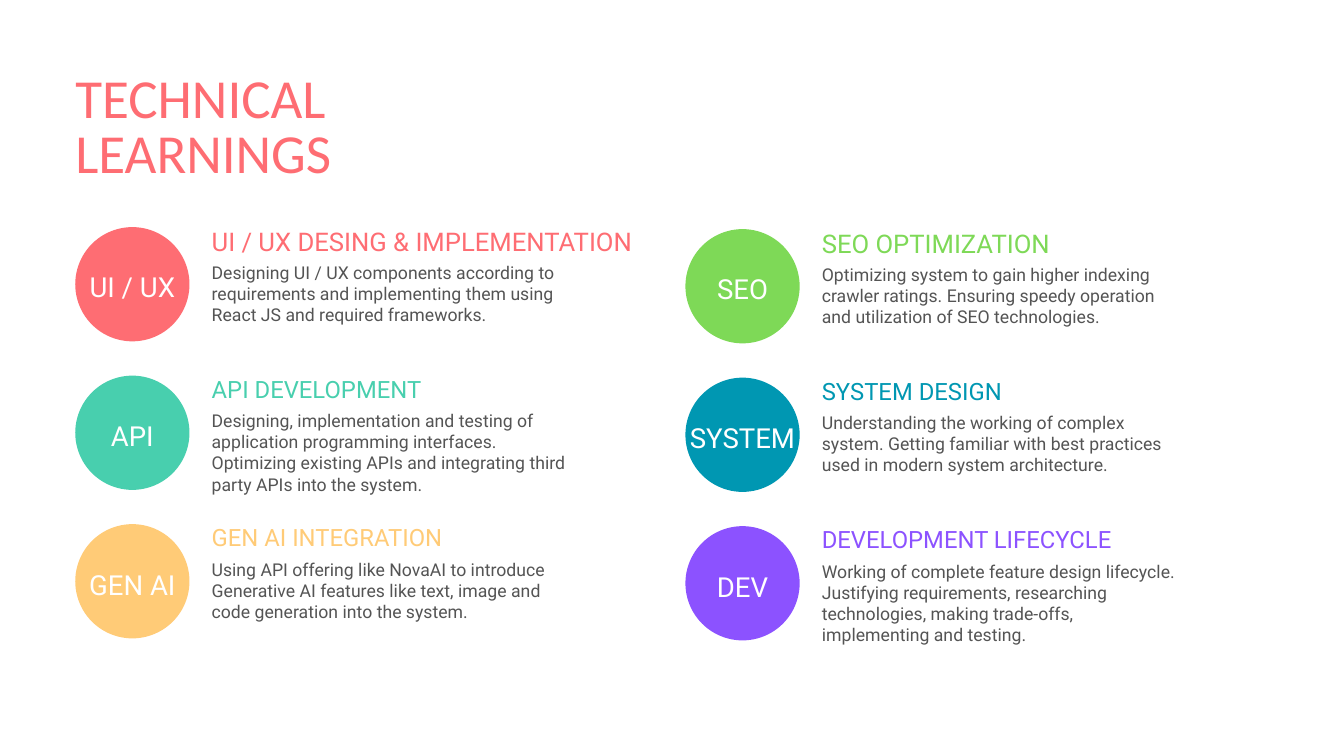
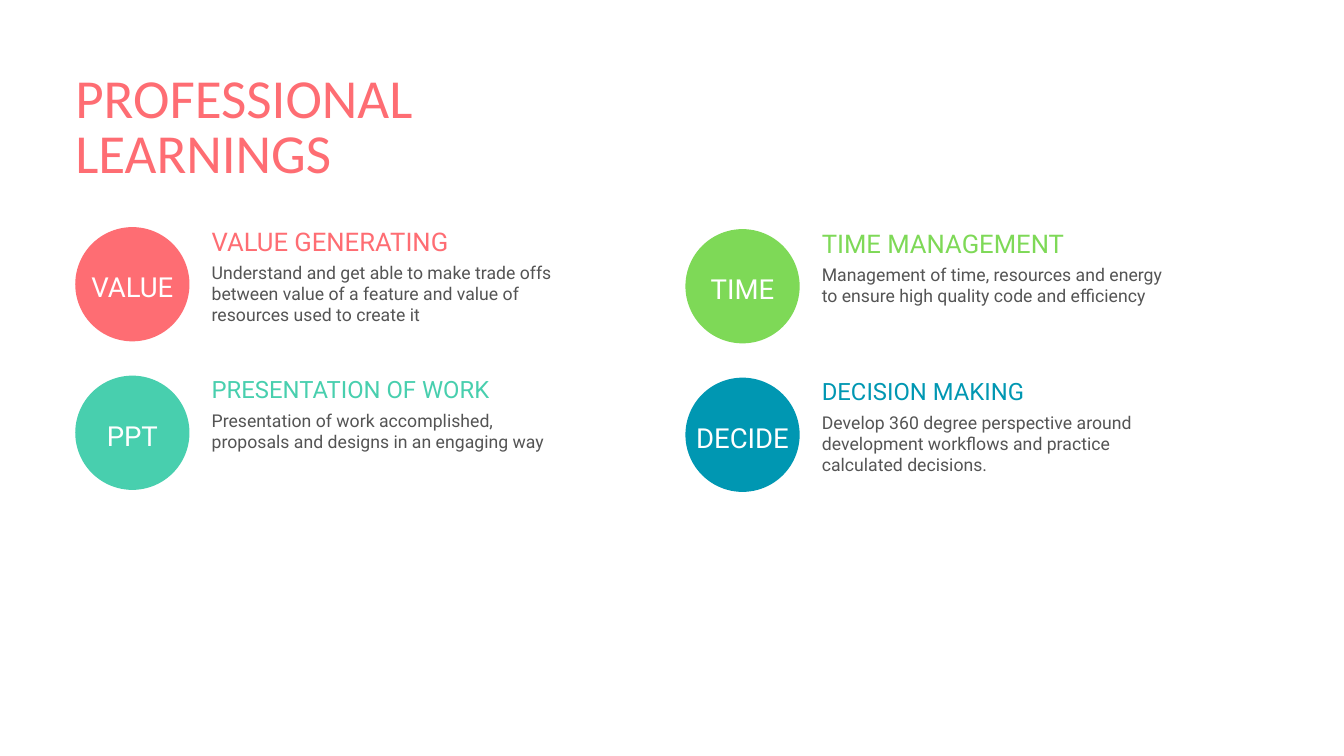
from pptx import Presentation
from pptx import util as u
from pptx.dml.color import RGBColor
from pptx.enum import shapes, text

CORAL = RGBColor(0xFE, 0x6D, 0x73)
MINT = RGBColor(0x48, 0xCF, 0xAE)
AMBER = RGBColor(0xFF, 0xCB, 0x77)
GREEN = RGBColor(0x7E, 0xD9, 0x57)
TEAL = RGBColor(0x00, 0x97, 0xB2)
VIOLET = RGBColor(0x8C, 0x52, 0xFF)
GREY = RGBColor(0x54, 0x54, 0x54)
WHITE = RGBColor(0xFF, 0xFF, 0xFF)

# Font, size and line spacing in points, colour (None: the colour of the topic)
STYLES = {
    "title": ("Calibri", 59, 58.4, CORAL),
    "badge": ("Roboto", 29.5, 41.3, WHITE),
    "first heading": ("Roboto", 27.5, 38.5, None),
    "heading": ("Roboto", 25.5, 35.7, None),
    "body": ("Roboto", 18.9, 22.7, GREY),
}

# Left edge, top and topic colours of each column, in inches
COLUMNS = [
    (1.12, 3.38, (CORAL, MINT, AMBER)),
    (10.2, 3.41, (GREEN, TEAL, VIOLET)),
]
ROW_PITCH = 2.21
BADGE_SIZE = 1.7
TEXT_INDENT = 2.03

# Title, title width, and for each column its topics (badge, heading, body)
SLIDES = [
    ("TECHNICAL LEARNINGS", 5.53, [
        [("UI / UX", "UI / UX DESING & IMPLEMENTATION",
          "Designing UI / UX components according to requirements and "
          "implementing them using React JS and required frameworks."),
         ("API", "API DEVELOPMENT",
          "Designing, implementation and testing of application programming "
          "interfaces. Optimizing existing APIs and integrating third party "
          "APIs into the system."),
         ("GEN AI", "GEN AI INTEGRATION",
          "Using API offering like NovaAI to introduce Generative AI features "
          "like text, image and code generation into the system.")],
        [("SEO", "SEO OPTIMIZATION",
          "Optimizing system to gain higher indexing crawler ratings. Ensuring "
          "speedy operation and utilization of SEO technologies."),
         ("SYSTEM", "SYSTEM DESIGN",
          "Understanding the working of complex system. Getting familiar with "
          "best practices used in modern system architecture."),
         ("DEV", "DEVELOPMENT LIFECYCLE",
          "Working of complete feature design lifecycle. Justifying "
          "requirements, researching technologies, making trade-offs, "
          "implementing and testing.")],
    ]),
    ("PROFESSIONAL LEARNINGS", 7.36, [
        [("VALUE", "VALUE GENERATING",
          "Understand and get able to make trade offs between value of a "
          "feature and value of resources used to create it"),
         ("PPT", "PRESENTATION OF WORK",
          "Presentation of work accomplished, proposals and designs in an "
          "engaging way")],
        [("TIME", "TIME MANAGEMENT",
          "Management of time, resources and energy to ensure high quality "
          "code and efficiency"),
         ("DECIDE", "DECISION MAKING",
          "Develop 360 degree perspective around development workflows and "
          "practice calculated decisions.")],
    ]),
]


class Deck:
    def __init__(self):
        self.prs = Presentation()
        self.prs.slide_width = u.Inches(20)
        self.prs.slide_height = u.Inches(11.25)
        self.s = None

    def set_text(self, sp, words, style, color=None, align=text.PP_ALIGN.LEFT,
                 anchor=text.MSO_ANCHOR.TOP, wrap=True):
        """Put one paragraph in the named style into a shape without insets."""
        name, size, spacing, style_color = STYLES[style]
        tf = sp.text_frame
        frame_format = {
            "margin_left": 0, "margin_top": 0,
            "margin_right": 0, "margin_bottom": 0,
            "word_wrap": wrap, "vertical_anchor": anchor,
            "auto_size": text.MSO_AUTO_SIZE.NONE,
        }
        for key, value in frame_format.items():
            setattr(tf, key, value)
        p = tf.paragraphs[0]
        p.alignment = align
        p.line_spacing = u.Pt(spacing)
        r = p.add_run()
        r.text = words
        for key, value in {"name": name, "size": u.Pt(size)}.items():
            setattr(r.font, key, value)
        r.font.color.rgb = style_color or color

    def add_slide(self, title, width):
        self.s = self.prs.slides.add_slide(self.prs.slide_layouts[5])
        sp = self.s.shapes.title
        box = {"left": 1.12, "top": 1.12, "width": width, "height": 1.77}
        for key, value in box.items():
            setattr(sp, key, u.Inches(value))
        self.set_text(sp, title, "title")

    def add_text(self, left, top, width, height, words, style, color=None):
        sp = self.s.shapes.add_textbox(*map(u.Inches, (left, top, width, height)))
        self.set_text(sp, words, style, color)

    def add_badge(self, left, top, label, color):
        box = map(u.Inches, (left, top, BADGE_SIZE, BADGE_SIZE))
        sp = self.s.shapes.add_shape(shapes.MSO_SHAPE.OVAL, *box)
        sp.shadow.inherit = False
        sp.fill.solid()
        sp.fill.fore_color.rgb = color
        sp.line.fill.background()
        self.set_text(sp, label, "badge", align=text.PP_ALIGN.CENTER,
                      anchor=text.MSO_ANCHOR.MIDDLE, wrap=False)

    def add_column(self, left, top, colors, topics):
        text_left = left + TEXT_INDENT
        for row, ((label, heading, body), color) in enumerate(zip(topics, colors)):
            y = top + row * ROW_PITCH
            style = "heading" if row else "first heading"
            self.add_badge(left, y, label, color)
            self.add_text(text_left, y - 0.09, 6.64, 0.5, heading, style, color)
            self.add_text(text_left, y + 0.51, 5.33, 1.23, body, "body")


def main():
    deck = Deck()
    for title, width, columns in SLIDES:
        deck.add_slide(title, width)
        for (left, top, colors), topics in zip(COLUMNS, columns):
            deck.add_column(left, top, colors, topics)
    deck.prs.save("out.pptx")


if __name__ == "__main__":
    main()
